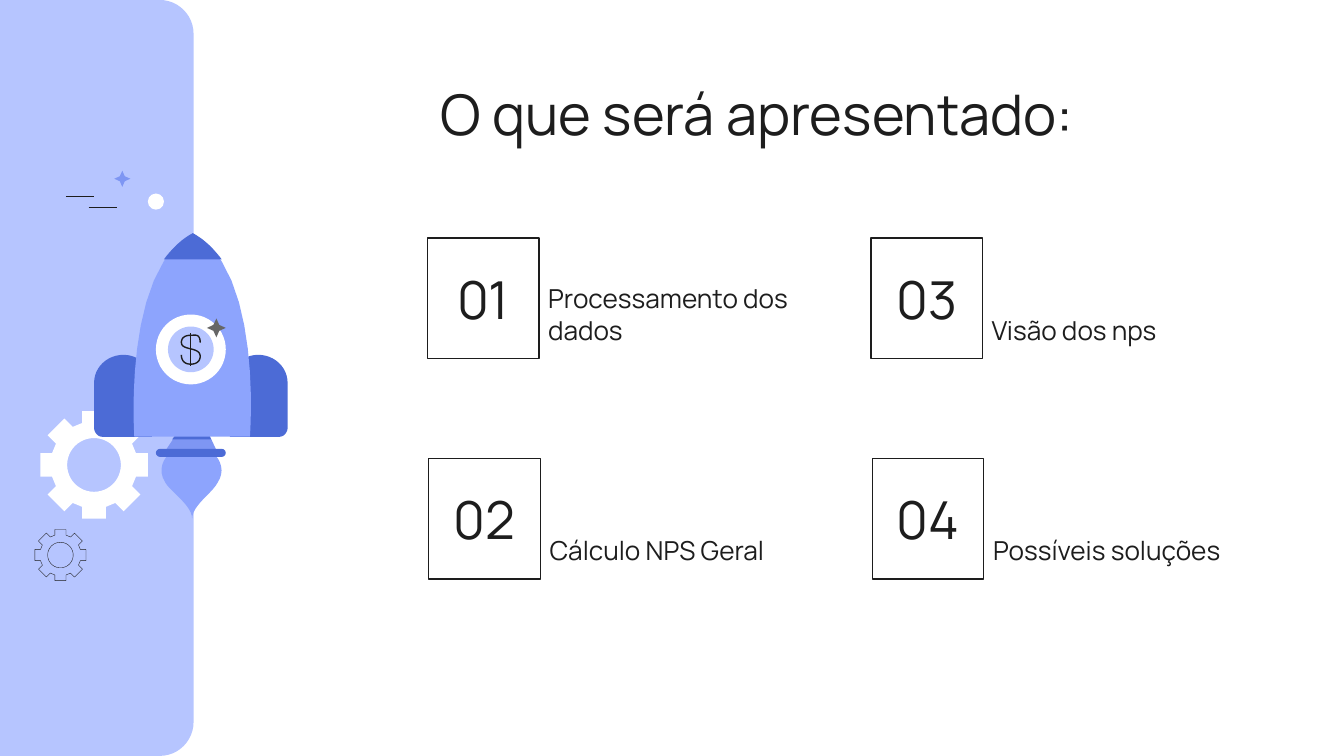
from dataclasses import dataclass
from math import cos, pi, sin
from typing import Optional

from lxml.etree import SubElement
from pptx import Presentation
from pptx.dml.color import RGBColor
from pptx.enum.shapes import MSO_CONNECTOR as Connector, MSO_SHAPE as Preset
from pptx.enum.text import MSO_ANCHOR as Anchor, MSO_AUTO_SIZE as AutoSize, PP_ALIGN as Align
from pptx.oxml.ns import qn
from pptx.util import Inches, Pt

WHITE = RGBColor(0xFF, 0xFF, 0xFF)
INK = RGBColor(0x1D, 0x1D, 0x1D)
GRAY = RGBColor(0x66, 0x66, 0x66)
PALE_BLUE = RGBColor(0xB6, 0xC5, 0xFF)
LIGHT_BLUE = RGBColor(0x8D, 0xA4, 0xFD)
MID_BLUE = RGBColor(0x7E, 0x96, 0xF3)
DEEP_BLUE = RGBColor(0x4C, 0x6B, 0xD6)
FONT = "Manrope"
HAIRLINE = 0.19

SLIDE_WIDTH, SLIDE_HEIGHT = Inches(10), Inches(5.625)
COLUMNS = 1000
CELL = SLIDE_WIDTH / COLUMNS
ROWS = SLIDE_HEIGHT / CELL


@dataclass
class Topic:
    number: str
    label: str
    column: int
    row: int
    label_width: float = 202


@dataclass
class Outline:
    points: list
    fill: RGBColor


@dataclass
class Disc:
    center: tuple
    diameter: float
    fill: RGBColor


@dataclass
class Gear:
    center: tuple
    radius: float
    fill: Optional[RGBColor] = None
    line: Optional[RGBColor] = None


TOPICS = [
    Topic("01", "Processamento dos dados", 0, 0, 210),
    Topic("03", "Visão dos nps", 1, 0),
    Topic("02", "Cálculo NPS Geral", 0, 1),
    Topic("04", "Possíveis soluções", 1, 1),
]
FIN = [(92, 264), (80, 264, 70, 273, 70, 285), (70, 318), (70, 322, 73, 325, 76, 325),
       (113, 325), (113, 285), (114, 274, 104, 264, 92, 264)]
FIN_AXIS = 142
ROCKET = [
    Outline([(143, 331), (128, 331, 114, 345, 123, 359), (127, 366, 143, 376, 143, 386),
             (143, 376, 158, 367, 162, 359), (170, 347, 160, 334, 147, 331)], LIGHT_BLUE),
    Outline([(132, 322), (122, 337), (162, 337), (155, 322)], MID_BLUE),
    Outline([(132, 322), (128, 327), (157, 327), (155, 322)], DEEP_BLUE),
    Outline([tuple(2 * FIN_AXIS - value if index % 2 == 0 else value
                   for index, value in enumerate(point)) for point in FIN], DEEP_BLUE),
    Outline(FIN, DEEP_BLUE),
    Outline([(143.5, 173.5), (91, 201, 100, 325, 100, 325), (186, 325),
             (186, 325, 196, 201, 143.5, 173.5)], LIGHT_BLUE),
    Outline([(143.5, 173.5), (135, 178, 128, 185, 122, 193), (165, 193),
             (159, 185, 152, 178, 143.5, 173.5)], DEEP_BLUE),
]
WINDOW_CENTER = (142, 260)
WINDOW = [Disc(WINDOW_CENTER, 52, WHITE), Disc(WINDOW_CENTER, 34, PALE_BLUE)]
DOLLAR_CURVE = [(149, 255), (149, 248, 145, 249.5, 142, 249.5), (138, 249.5, 135, 251, 135, 255),
                (135, 261, 149, 258, 149, 265), (149, 269, 146, 271, 142, 271),
                (138, 271, 135, 269, 135, 264)]


def cells(count: float) -> int:
    return round(count * CELL)


def style(shape, fill: Optional[RGBColor] = None, line: Optional[RGBColor] = None,
          weight: float = 0.75) -> None:
    shape.shadow.inherit = False
    if fill is None:
        shape.fill.background()
    else:
        shape.fill.solid()
        shape.fill.fore_color.rgb = fill
    if line is None:
        shape.line.fill.background()
    else:
        shape.line.color.rgb = line
        shape.line.width = Pt(weight)


def add_preset(slide, preset, left: float, top: float, width: float, height: float):
    return slide.shapes.add_shape(preset, cells(left), cells(top), cells(width), cells(height))


def flatten(points: list, steps: int = 12) -> list:
    flat = [points[0]]
    for point in points[1:]:
        if len(point) == 2:
            flat.append(point)
            continue
        controls = [flat[-1], point[:2], point[2:4], point[4:]]
        for step in range(1, steps + 1):
            t = step / steps
            weights = ((1 - t) ** 3, 3 * t * (1 - t) ** 2, 3 * t * t * (1 - t), t ** 3)
            flat.append(tuple(sum(w * c[axis] for w, c in zip(weights, controls))
                              for axis in (0, 1)))
    return flat


def add_outline(slide, *contours: list, close: bool = True):
    scaled = [[(cells(x), cells(y)) for x, y in contour] for contour in contours]
    builder = slide.shapes.build_freeform(*scaled[0][0])
    for index, contour in enumerate(scaled):
        if index:
            builder.move_to(*contour[0])
        builder.add_line_segments(contour[1:], close=close)
    return builder.convert_to_shape()


def add_gear(slide, gear: Gear) -> None:
    x, y = gear.center
    r = gear.radius
    teeth = []
    for tooth in range(8):
        angle = tooth * pi / 4
        for side, reach in ((-0.22, 0.78), (-0.22, 1), (0.22, 1), (0.22, 0.78)):
            teeth.append((x + r * (side * cos(angle) + reach * sin(angle)),
                          y + r * (side * sin(angle) - reach * cos(angle))))
    hole = [(x + r / 2 * cos(step * pi / 24), y - r / 2 * sin(step * pi / 24))
            for step in range(48)]
    style(add_outline(slide, teeth, hole), gear.fill, gear.line, HAIRLINE)


def add_disc(slide, disc: Disc) -> None:
    x, y = disc.center
    radius = disc.diameter / 2
    style(add_preset(slide, Preset.OVAL, x - radius, y - radius, disc.diameter, disc.diameter),
          disc.fill)


def add_sparkle(slide, left: float, top: float, size: float, fill: RGBColor) -> None:
    sparkle = add_preset(slide, Preset.STAR_4_POINT, left, top, size, size)
    sparkle.adjustments[0] = 0.22
    style(sparkle, fill)


def add_stroke(slide, start: tuple, end: tuple, weight: float) -> None:
    stroke = slide.shapes.add_connector(Connector.STRAIGHT, *map(cells, start + end))
    stroke.line.color.rgb = INK
    stroke.line.width = Pt(weight)
    SubElement(stroke._element.spPr, qn("a:effectLst"))


def write(shape, text: str, size: float, anchor, align) -> None:
    frame = shape.text_frame
    frame.text = text
    frame.word_wrap = True
    frame.auto_size = AutoSize.NONE
    frame.vertical_anchor = anchor
    frame.margin_left = frame.margin_right = frame.margin_top = frame.margin_bottom = cells(10)
    paragraph = frame.paragraphs[0]
    paragraph.alignment = align
    font = paragraph.runs[0].font
    font.name, font.size, font.color.rgb = FONT, Pt(size), INK


def add_topic(slide, topic: Topic) -> None:
    left = 318 + 330 * topic.column + topic.row
    top = 177 + 164 * topic.row
    box = add_preset(slide, Preset.RECTANGLE, left, top, 83, 90)
    style(box, WHITE, INK)
    write(box, topic.number, 28, Anchor.MIDDLE, Align.CENTER)
    label = slide.shapes.add_textbox(cells(left + 80), cells(top),
                                     cells(topic.label_width), cells(90))
    write(label, topic.label, 14, Anchor.BOTTOM, Align.LEFT)


def add_rocket(slide) -> None:
    for outline in ROCKET:
        style(add_outline(slide, flatten(outline.points)), outline.fill)
    ring = add_preset(slide, Preset.ROUNDED_RECTANGLE, 116, 334, 52, 6)
    ring.adjustments[0] = 0.5
    style(ring, DEEP_BLUE)
    for disc in WINDOW:
        add_disc(slide, disc)
    style(add_outline(slide, flatten(DOLLAR_CURVE), close=False), line=INK)
    add_stroke(slide, (142, 248), (142, 272), 0.75)
    add_sparkle(slide, 154, 237, 14, GRAY)


def main() -> None:
    presentation = Presentation()
    presentation.slide_width, presentation.slide_height = SLIDE_WIDTH, SLIDE_HEIGHT
    slide = presentation.slides.add_slide(presentation.slide_layouts[5])
    title = slide.shapes.title
    title.left, title.top, title.width, title.height = map(cells, (318, 49, 603, 63))
    write(title, "O que será apresentado:", 30, Anchor.TOP, Align.LEFT)

    panel = add_preset(slide, Preset.ROUND_2_SAME_RECTANGLE,
                       (144 - ROWS) / 2, (ROWS - 144) / 2, ROWS, 144)
    panel.rotation = 90
    panel.adjustments[0] = 0.175
    style(panel, PALE_BLUE)
    add_gear(slide, Gear((70, 346), 40, fill=WHITE))
    add_gear(slide, Gear((45, 413), 19, line=INK))
    for left, top in ((49, 146), (66, 154)):
        add_stroke(slide, (left, top), (left + 21, top), HAIRLINE)
    for topic in TOPICS:
        add_topic(slide, topic)
    add_sparkle(slide, 85, 127, 12, MID_BLUE)
    add_disc(slide, Disc((116, 150), 12, WHITE))
    add_rocket(slide)
    presentation.save("out.pptx")


if __name__ == "__main__":
    main()
